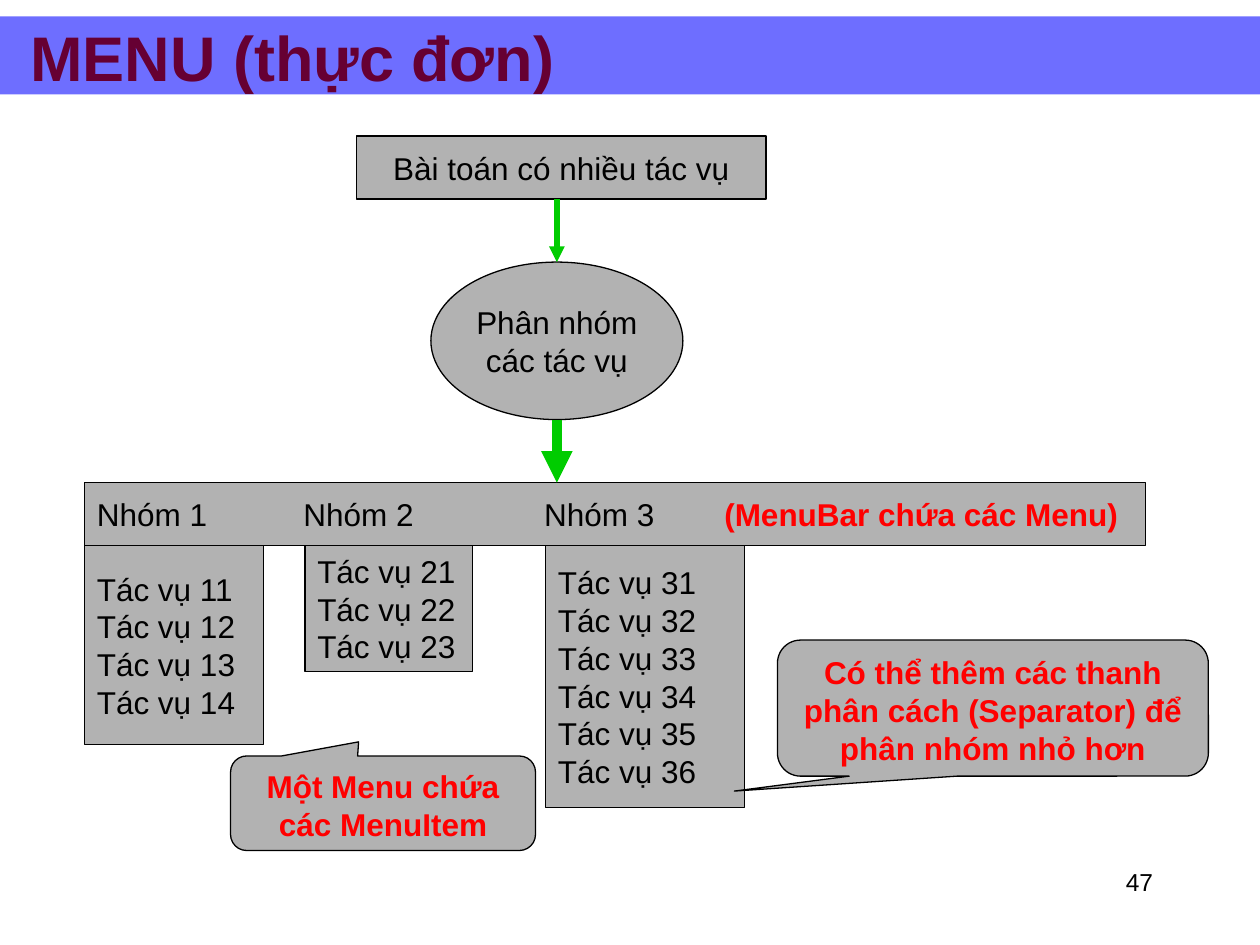
from lxml import etree
from pptx import Presentation
from pptx import util as u
from pptx.dml.color import RGBColor
from pptx.enum import shapes, text
from pptx.oxml.ns import qn

BLACK, RED, GRAY = "000000", "FF0000", "B2B2B2"
GREEN, BLUE, PLUM = "00CC00", "0000FF", "660033"
LEFT, MID, RIGHT = text.PP_ALIGN.LEFT, text.PP_ALIGN.CENTER, text.PP_ALIGN.RIGHT
KIND = shapes.MSO_SHAPE


def paint(target, color):
    """Give a fill a solid colour."""
    target.solid()
    target.fore_color.rgb = RGBColor.from_string(color)


def add_run(para, words, size=18, color=BLACK, bold=False):
    """Add one formatted run to a paragraph."""
    run = para.add_run()
    run.text = words
    run.font.name = "Arial"
    run.font.size = u.Pt(size)
    run.font.bold = bold
    paint(run.font.fill, color)


def write(frame, lines, align=LEFT, wrap=True, **style):
    """Write one paragraph for each line."""
    frame.word_wrap = wrap
    for i, line in enumerate(lines):
        para = frame.add_paragraph() if i else frame.paragraphs[0]
        para.alignment = align
        add_run(para, line, **style)


def add_box(slide, kind, box, lines=(), align=MID, wrap=False, top=False, **style):
    """Add a gray outlined shape with text."""
    shape = slide.shapes.add_shape(kind, *map(u.Inches, box))
    shape.shadow.inherit = False
    paint(shape.fill, GRAY)
    paint(shape.line.fill, BLACK)
    shape.line.width = u.Pt(0.74)
    anchor = text.MSO_ANCHOR
    shape.text_frame.vertical_anchor = anchor.TOP if top else anchor.MIDDLE
    write(shape.text_frame, lines, align, wrap, **style)
    return shape


def add_call(slide, box, tip, words):
    """Add a callout whose tip is given relative to its size."""
    call = add_box(slide, KIND.ROUNDED_RECTANGULAR_CALLOUT, box, [words],
                   wrap=True, top=True, color=RED, bold=True)
    for i, value in enumerate(tip):
        call.adjustments[i] = value


def add_arrow(slide, x, top, end, width):
    """Add a green arrow pointing down."""
    line = slide.shapes.add_connector(
        shapes.MSO_CONNECTOR.STRAIGHT, *map(u.Inches, (x, top, x, end)))
    paint(line.line.fill, GREEN)
    line.line.width = u.Pt(width)
    etree.SubElement(line.line._get_or_add_ln(), qn("a:tailEnd"), type="triangle")
    etree.SubElement(line._element.spPr, qn("a:effectLst"))


def add_band(slide):
    """Add the translucent band behind the title."""
    band = slide.shapes.add_shape(KIND.RECTANGLE, *map(u.Inches, (0, 0.13, 10, 0.62)))
    band.shadow.inherit = False
    paint(band.fill, BLUE)
    band.line.fill.background()
    color = band._element.spPr.find(".//" + qn("a:srgbClr"))
    etree.SubElement(color, qn("a:alpha"), val="57000")


def add_title(slide, words):
    """Place the title over its band."""
    title = slide.shapes.title
    title.left, title.top, title.width, title.height = map(u.Inches, (0, 0.24, 10, 0.42))
    frame = title.text_frame
    frame.auto_size = text.MSO_AUTO_SIZE.NONE
    frame.vertical_anchor = text.MSO_ANCHOR.MIDDLE
    frame.margin_left = u.Inches(0.24)
    write(frame, [words], size=36, color=PLUM, bold=True)
    slide.shapes._spTree.append(title._element)


def add_bar(slide, box, names, note, stops):
    """Add the menu bar, its entries set on tab stops."""
    bar = add_box(slide, KIND.RECTANGLE, box, ["\t".join(names) + "\t"], LEFT, True)
    para = bar.text_frame.paragraphs[0]
    add_run(para, note, color=RED, bold=True)
    tabs = etree.SubElement(para._p.get_or_add_pPr(), qn("a:tabLst"))
    for stop in stops:
        etree.SubElement(tabs, qn("a:tab"), pos=str(u.Inches(stop)), algn="l")


def main():
    """Build the slide and save it."""
    deck = Presentation()
    deck.slide_width, deck.slide_height = u.Inches(10), u.Inches(7.5)
    slide = deck.slides.add_slide(deck.slide_layouts[5])

    page = slide.shapes.add_textbox(*map(u.Inches, (7.17, 6.83, 2.08, 0.5)))
    write(page.text_frame, ["47"], RIGHT, size=14)
    add_band(slide)
    add_title(slide, "MENU (thực đơn)")

    add_box(slide, KIND.RECTANGLE, (2.83, 1.08, 3.25, 0.5), ["Bài toán có nhiều tác vụ"])
    add_box(slide, KIND.OVAL, (3.42, 2.08, 2, 1.25), ["Phân nhóm", "các tác vụ"])

    menus = [(0.67, 1.42, 1.58, 4), (2.42, 1.33, 1, 3), (4.33, 1.58, 2.08, 6)]
    names = [f"Nhóm {i}" for i in range(1, len(menus) + 1)]
    add_bar(slide, (0.67, 3.83, 8.42, 0.5), names,
            "(MenuBar chứa các Menu)", (1.64, 3.55, 4.98))
    for i, (left, width, height, count) in enumerate(menus, 1):
        tasks = [f"Tác vụ {i}{j}" for j in range(1, count + 1)]
        add_box(slide, KIND.RECTANGLE, (left, 4.33, width, height), tasks, LEFT)

    add_arrow(slide, 4.42, 1.58, 2.08, 3)
    add_arrow(slide, 4.42, 3.33, 3.83, 6)
    add_call(slide, (1.83, 6, 2.42, 0.75), (-0.08, -0.65, 0.17),
             "Một Menu chứa các MenuItem")
    add_call(slide, (6.17, 5.08, 3.42, 1.08), (-0.6, 0.61, 0.17),
             "Có thể thêm các thanh phân cách (Separator) để phân nhóm nhỏ hơn")
    deck.save("out.pptx")


main()
